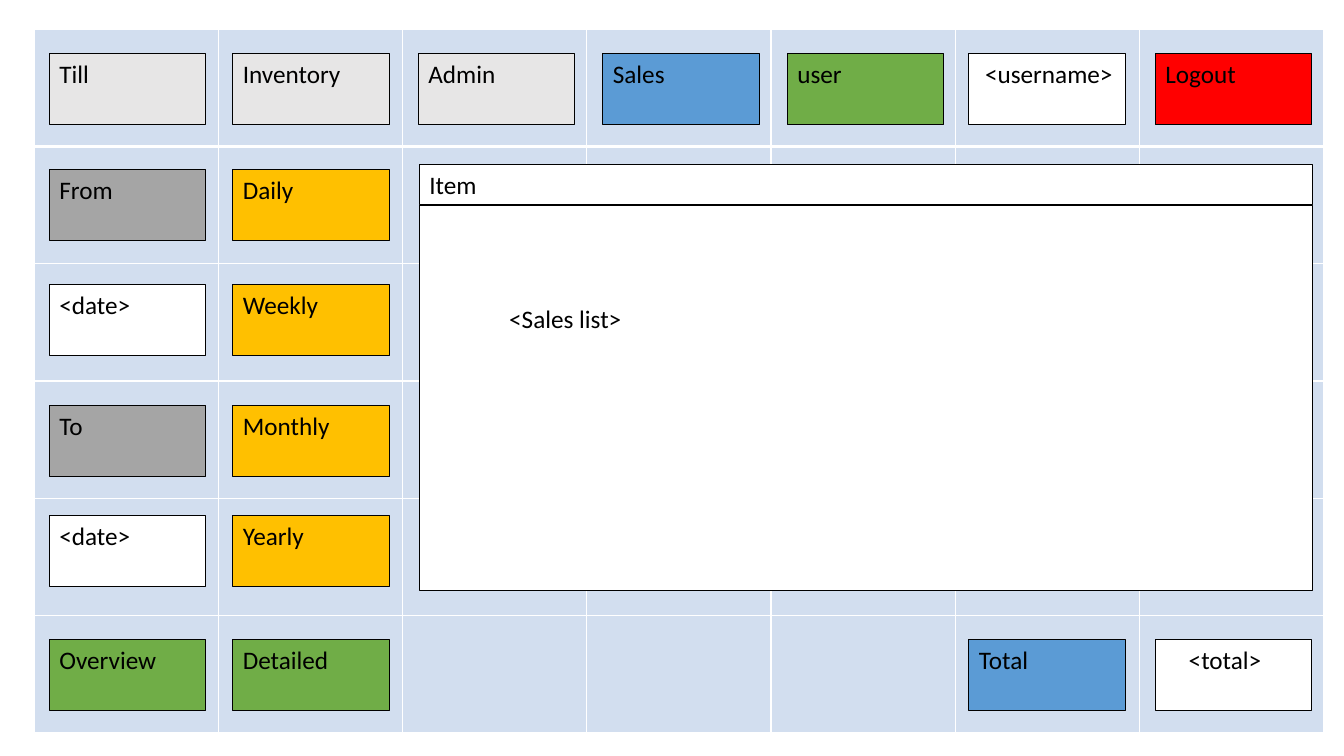
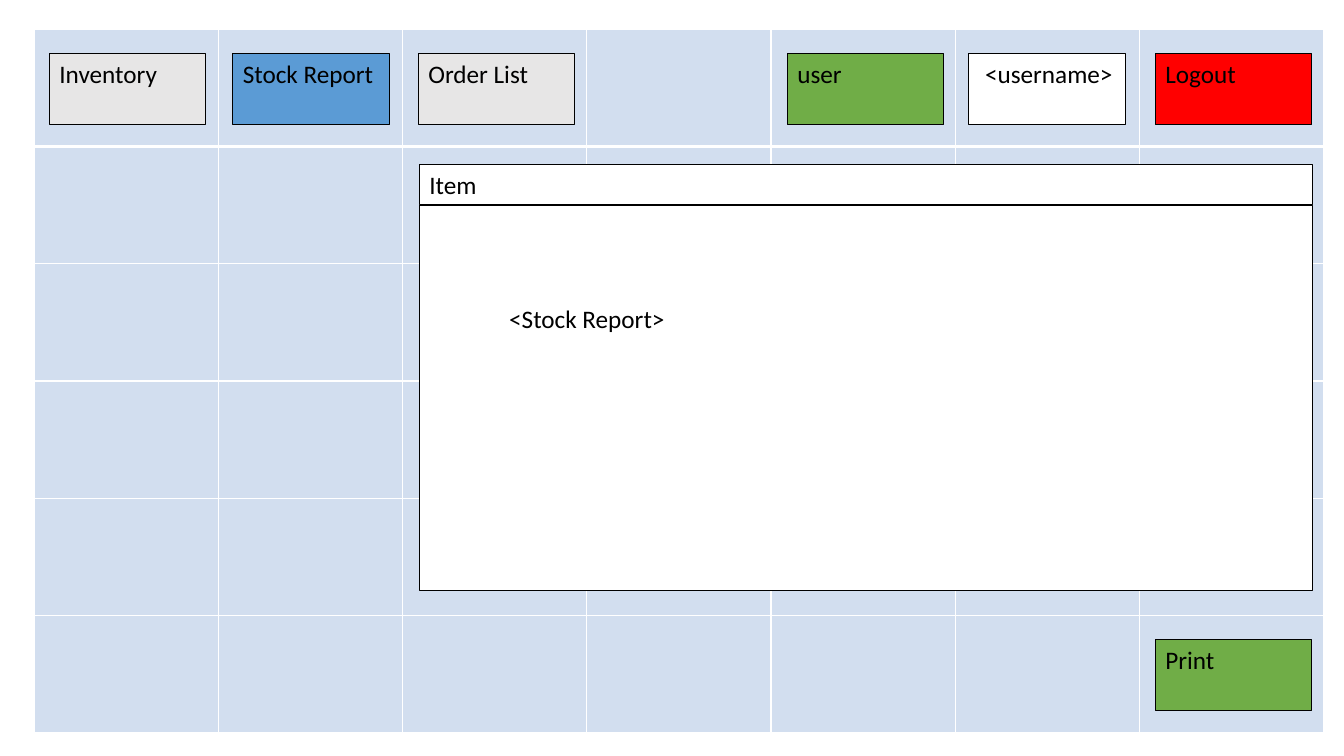
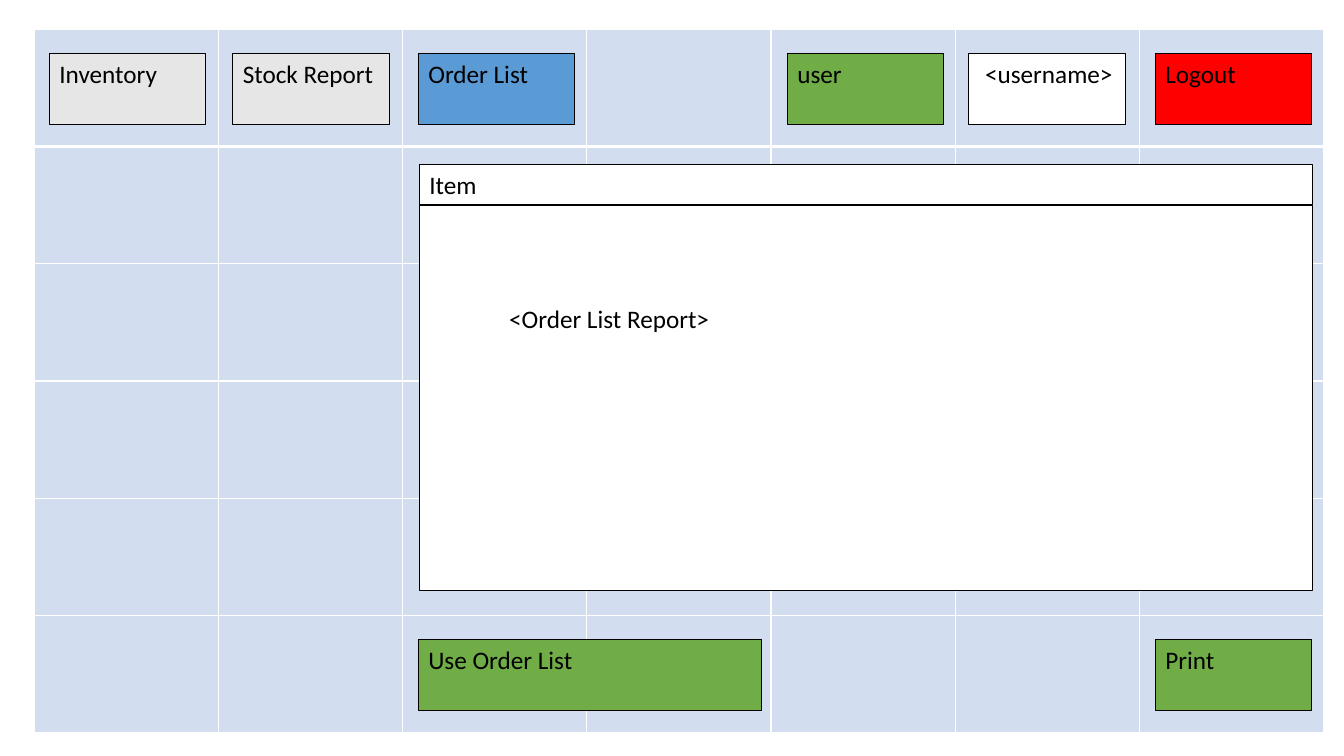
"""Build three till-system screen mock-ups on a shared grid."""
from lxml.etree import SubElement
from pptx import Presentation
from pptx.dml.color import RGBColor
from pptx.enum.shapes import MSO_SHAPE as Shape
from pptx.enum.text import MSO_ANCHOR as Anchor, PP_ALIGN as Align
from pptx.oxml.ns import qn
from pptx.util import Inches, Pt

FONT = "Calibri"
BLACK, WHITE, RED = "000000", "FFFFFF", "FF0000"
LIGHT, GREY, BLUE = "E7E6E6", "A5A5A5", "5B9BD5"
GREEN, AMBER, GRID = "70AD47", "FFC000", "D2DEEF"

ROWS, COLUMNS = 6, 7
GRID_LEFT, GRID_TOP, GRID_WIDTH, GRID_HEIGHT = 0.34, 0.29, 12.79, 6.98
COLUMN_LEFTS = (0.49, 2.31, 4.15, 5.98, 7.81, 9.61, 11.46)
ROW_TOPS = (0.53, 1.68, 2.82, 4.02, 5.11, 6.34)
BUTTON_WIDTH, BUTTON_HEIGHT = 1.55, 0.71
PANEL_LEFT, PANEL_WIDTH = 4.16, 8.86


def rgb(value):
    """Turn a hex string into a colour."""
    return RGBColor.from_string(value)


def add_border(cell, side, points):
    """Draw one white edge of a table cell."""
    line = SubElement(cell._tc.get_or_add_tcPr(), qn(f"a:ln{side}"), w=str(Pt(points)))
    fill = SubElement(line, qn("a:solidFill"))
    SubElement(fill, qn("a:srgbClr"), val=WHITE)


def add_grid(slide):
    """Add the pale background grid, with a heavier line under the first row."""
    table = slide.shapes.add_table(
        ROWS, COLUMNS, Inches(GRID_LEFT), Inches(GRID_TOP),
        Inches(GRID_WIDTH), Inches(GRID_HEIGHT)).table
    for row in range(ROWS):
        top, bottom = 3 if row == 1 else 1, 3 if row == 0 else 1
        for column in range(COLUMNS):
            cell = table.cell(row, column)
            for side, points in (("L", 1), ("R", 1), ("T", top), ("B", bottom)):
                add_border(cell, side, points)
            cell.fill.solid()
            cell.fill.fore_color.rgb = rgb(GRID)


def add_box(slide, text, color, left, top, width, height, indent=0, drop=0):
    """Add an outlined box with its text at the top left."""
    shape = slide.shapes.add_shape(
        Shape.RECTANGLE, Inches(left), Inches(top), Inches(width), Inches(height))
    shape.shadow.inherit = False
    shape.fill.solid()
    shape.fill.fore_color.rgb = rgb(color)
    shape.line.color.rgb = rgb(BLACK)
    shape.line.width = Pt(0.75)
    frame = shape.text_frame
    frame.word_wrap = True
    frame.vertical_anchor = Anchor.TOP
    frame.margin_left = Inches(0.1 + indent)
    frame.margin_top = Inches(0.05 + drop)
    frame.margin_right = Inches(0.05)
    paragraph = frame.paragraphs[0]
    paragraph.text = text
    paragraph.alignment = Align.LEFT
    paragraph.font.name = FONT
    paragraph.font.size = Pt(18)
    paragraph.font.color.rgb = rgb(BLACK)


def add_button(slide, row, column, text, color, indent=0, width=BUTTON_WIDTH):
    """Add a box in one cell of the grid."""
    add_box(slide, text, color, COLUMN_LEFTS[column], ROW_TOPS[row],
            width, BUTTON_HEIGHT, indent)


def add_screen(presentation, tabs, active, content):
    """Add a slide with the grid, tabs, user buttons and list panel."""
    slide = presentation.slides.add_slide(presentation.slide_layouts[6])
    add_grid(slide)
    for column, tab in enumerate(tabs):
        add_button(slide, 0, column, tab, BLUE if tab == active else LIGHT)
    add_button(slide, 0, 4, "user", GREEN)
    add_button(slide, 0, 5, "<username>", WHITE, indent=0.06)
    add_button(slide, 0, 6, "Logout", RED)
    add_box(slide, content, WHITE, PANEL_LEFT, 2.04, PANEL_WIDTH, 3.82,
            indent=0.79, drop=0.92)
    add_box(slide, "Item", WHITE, PANEL_LEFT, 1.63, PANEL_WIDTH, 0.4)
    return slide


def add_sales_controls(slide):
    """Add the date range, period, view and total boxes."""
    dates = (("From", GREY), ("<date>", WHITE), ("To", GREY), ("<date>", WHITE))
    periods = ("Daily", "Weekly", "Monthly", "Yearly")
    for row, ((label, color), period) in enumerate(zip(dates, periods), start=1):
        add_button(slide, row, 0, label, color)
        add_button(slide, row, 1, period, AMBER)
    add_button(slide, 5, 0, "Overview", GREEN)
    add_button(slide, 5, 1, "Detailed", GREEN)
    add_button(slide, 5, 5, "Total", BLUE)
    add_button(slide, 5, 6, "<total>", WHITE, indent=0.23)


def main():
    """Build and save the presentation."""
    presentation = Presentation()
    presentation.slide_width = Inches(13.33)
    presentation.slide_height = Inches(7.5)

    sales = add_screen(presentation, ("Till", "Inventory", "Admin", "Sales"),
                       "Sales", "<Sales list>")
    add_sales_controls(sales)

    stock_tabs = ("Inventory", "Stock Report", "Order List")
    stock = add_screen(presentation, stock_tabs, "Stock Report", "<Stock Report>")
    orders = add_screen(presentation, stock_tabs, "Order List", "<Order List Report>")
    add_button(orders, 5, 2, "Use Order List", GREEN, width=3.4)
    for slide in (stock, orders):
        add_button(slide, 5, 6, "Print", GREEN)

    presentation.save("out.pptx")


if __name__ == "__main__":
    main()
